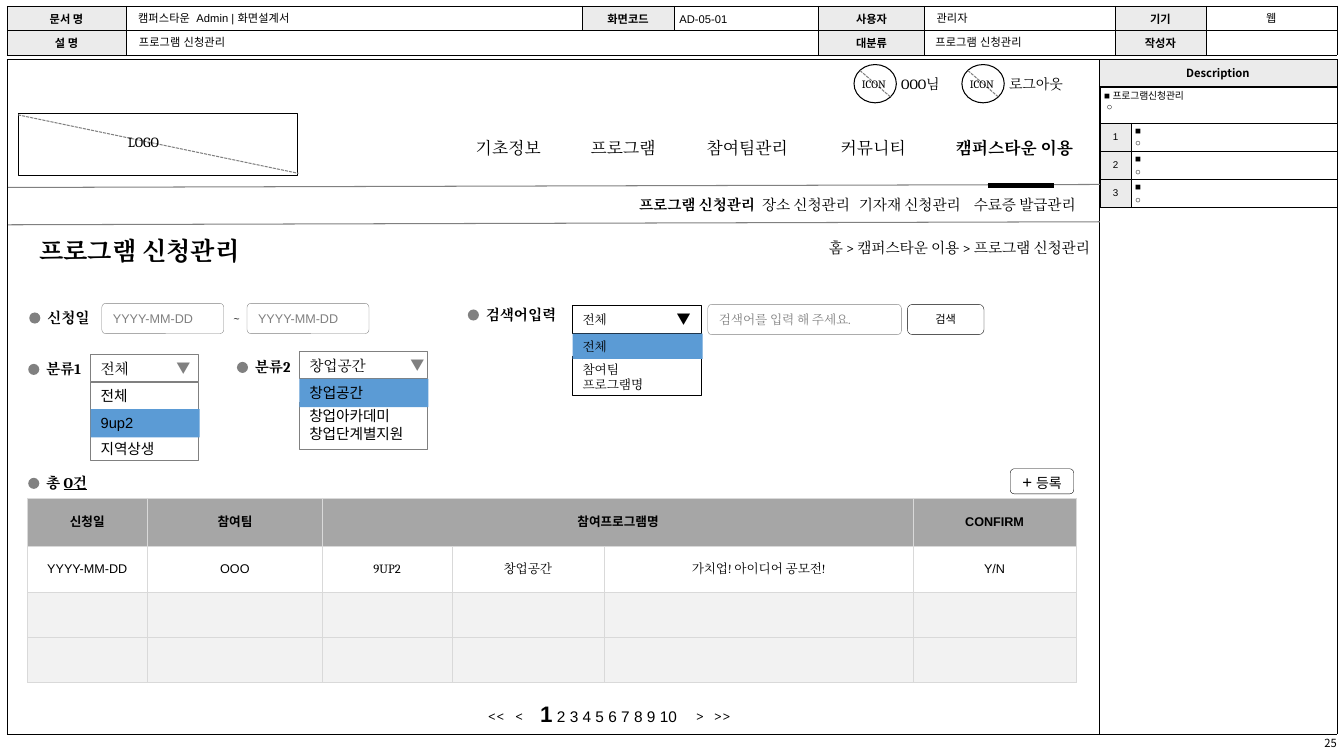
from dataclasses import dataclass, replace
from itertools import product

from lxml import etree
from pptx import Presentation
from pptx import util as u
from pptx.dml.color import RGBColor
from pptx.enum import dml, shapes, text
from pptx.oxml import ns

Inches, Pt = u.Inches, u.Pt
LEFT, CENTER, RIGHT = text.PP_ALIGN.LEFT, text.PP_ALIGN.CENTER, text.PP_ALIGN.RIGHT
TOP, MIDDLE = text.MSO_ANCHOR.TOP, text.MSO_ANCHOR.MIDDLE
RECT, ROUND, OVAL = (shapes.MSO_SHAPE.RECTANGLE, shapes.MSO_SHAPE.ROUNDED_RECTANGLE,
                     shapes.MSO_SHAPE.OVAL)
INSETS = (0.1, 0.05, 0.1, 0.05)
TIGHT = (0.04,) * 4
THIN = (0.01,) * 4


@dataclass(frozen=True)
class Style:
    font: str
    size: float
    color: str = "000000"
    bold: bool = False
    underline: bool = False


@dataclass(frozen=True)
class Theme:
    black: str = "000000"
    gray: str = "808080"
    white: str = "FFFFFF"
    label: str = "EBEBEB"
    selected: str = "5B9BD5"
    head: str = "A6A6A6"
    empty: str = "F2F2F2"
    grid: str = "D9D9D9"
    meta: Style = Style("Arial", 8)
    meta_label: Style = Style("Noto Sans CJK KR", 8, bold=True)
    page: Style = Style("Noto Sans CJK KR", 8)
    note: Style = Style("Arial", 7)
    title: Style = Style("Cambria", 18, bold=True)
    menu: Style = Style("Cambria", 12)
    body: Style = Style("Cambria", 10.5)
    strong: Style = Style("Cambria", 10.5, bold=True)
    option: Style = Style("Arial", 10.5)
    small: Style = Style("Cambria", 9)
    icon: Style = Style("Cambria", 8)
    user: Style = Style("Cambria", 10)
    hint: Style = Style("Arial", 9, "808080")
    search_hint: Style = Style("Cambria", 9, "808080")
    arrow: Style = Style("Noto Sans CJK KR", 10)
    cell: Style = Style("Arial", 9)
    pager: Style = Style("Cambria", 11)


THEME = Theme()


def set_font(font, style):
    font.name, font.size, font.bold = style.font, Pt(style.size), style.bold
    font.underline = style.underline
    font.color.rgb = RGBColor.from_string(style.color)
    east_asian = etree.SubElement(font._element, ns.qn("a:ea"))
    east_asian.set("typeface", style.font)


def write(frame, content, style, align=LEFT, before=0):
    """Content is a string (one paragraph a line) or a list of (text, style) runs."""
    lines = content.split("\n") if isinstance(content, str) else [content]
    for index, line in enumerate(lines):
        paragraph = frame.add_paragraph() if index else frame.paragraphs[0]
        paragraph.alignment = align
        paragraph.space_before = Pt(before)
        if isinstance(line, str):
            paragraph.text = line
            set_font(paragraph.font, style)
            continue
        for words, run_style in line:
            run = paragraph.add_run()
            run.text = words
            set_font(run.font, run_style)


def set_margins(target, insets):
    (target.margin_left, target.margin_top,
     target.margin_right, target.margin_bottom) = map(Inches, insets)


def add_text(slide, box, content, style=None, align=LEFT, insets=INSETS, anchor=TOP, before=0):
    frame = slide.shapes.add_textbox(*map(Inches, box)).text_frame
    frame.word_wrap = True
    frame.vertical_anchor = anchor
    set_margins(frame, insets)
    write(frame, content, style, align, before)


def add_box(slide, kind, box, content="", style=None, fill=None, line=None, width=0.75,
            align=LEFT, anchor=MIDDLE, insets=INSETS):
    shape = slide.shapes.add_shape(kind, *map(Inches, box))
    shape.shadow.inherit = False
    if fill:
        shape.fill.solid()
        shape.fill.fore_color.rgb = RGBColor.from_string(fill)
    else:
        shape.fill.background()
    if line:
        shape.line.color.rgb = RGBColor.from_string(line)
        shape.line.width = Pt(width)
    else:
        shape.line.fill.background()
    if content:
        shape.text_frame.vertical_anchor = anchor
        set_margins(shape.text_frame, insets)
        write(shape.text_frame, content, style, align)
    return shape


def add_line(slide, start, end, color=THEME.gray, width=0.75, dashed=False):
    line = slide.shapes.add_connector(shapes.MSO_CONNECTOR.STRAIGHT, *map(Inches, start + end))
    line.line.color.rgb = RGBColor.from_string(color)
    line.line.width = Pt(width)
    if dashed:
        line.line.dash_style = dml.MSO_LINE.SQUARE_DOT
    etree.SubElement(line._element.spPr, ns.qn("a:effectLst"))


def add_grid(slide, left, top, columns, rows, border):
    table = slide.shapes.add_table(len(rows), len(columns), Inches(left), Inches(top),
                                   Inches(sum(columns)), Inches(sum(rows))).table
    table.first_row = table.horz_banding = False
    for column, width in zip(table.columns, columns):
        column.width = Inches(width)
    for row, height in zip(table.rows, rows):
        row.height = Inches(height)
    for cell in table.iter_cells():
        properties = cell._tc.get_or_add_tcPr()
        for side in ("a:lnL", "a:lnR", "a:lnT", "a:lnB"):
            edge = etree.SubElement(properties, ns.qn(side), w=str(Pt(0.25)))
            paint = etree.SubElement(edge, ns.qn("a:solidFill"))
            etree.SubElement(paint, ns.qn("a:srgbClr"), val=border)
        fill_cell(cell)
    return table


def fill_cell(cell, content="", style=None, fill=THEME.white, align=CENTER, insets=THIN,
              anchor=MIDDLE, before=0):
    cell.fill.solid()
    cell.fill.fore_color.rgb = RGBColor.from_string(fill)
    cell.vertical_anchor = anchor
    set_margins(cell, insets)
    paragraph = cell.text_frame.paragraphs[0]
    for end in paragraph._p.findall(ns.qn("a:endParaRPr")):
        paragraph._p.remove(end)
    if content:
        write(cell.text_frame, content, style, align, before)
    else:
        etree.SubElement(paragraph._p, ns.qn("a:endParaRPr"), sz="800")


def add_label(slide, left, top, content, width=1.07):
    add_box(slide, shapes.MSO_SHAPE.FLOWCHART_CONNECTOR, (left, top, 0.11, 0.11), fill=THEME.gray)
    add_text(slide, (left + 0.08, top - 0.09, width, 0.28), content, THEME.strong)


def add_dropdown(slide, left, width, head, menu, pick, arrow_left, texts, styles, color):
    """Head, menu and pick are (top, height); texts are current, options, picked."""
    current, options, picked = texts
    add_box(slide, RECT, (left, head[0], width, head[1]), current, styles[0], line=color)
    add_text(slide, (arrow_left, head[0] + 0.05, 0.28, 0.17), "▼",
             replace(THEME.arrow, color=color), insets=(0.08, 0, 0.08, 0), anchor=MIDDLE)
    listing = add_box(slide, RECT, (left, menu[0], width, menu[1]), options, styles[1],
                      line=color, anchor=TOP)
    add_box(slide, RECT, (left, pick[0], width + 0.01, pick[1]), picked, styles[1],
            fill=THEME.selected, anchor=TOP)
    return listing


def add_document_tables(slide):
    meta = add_grid(slide, 0.07, 0.06, [1.18, 4.52, 0.92, 1.43, 1.05, 1.89, 0.9, 1.3],
                    [0.24, 0.24], THEME.black)
    meta.cell(1, 1).merge(meta.cell(1, 3))
    labels = {(0, 0): "문서 명", (0, 2): "화면코드", (0, 4): "사용자", (0, 6): "기기",
              (1, 0): "설 명", (1, 4): "대분류", (1, 6): "작성자"}
    for position, label in labels.items():
        fill_cell(meta.cell(*position), label, THEME.meta_label, THEME.label, insets=TIGHT)
    for column, value, align in ((1, "캠퍼스타운  Admin | 화면설계서", LEFT),
                                 (5, "관리자", LEFT), (7, "웹", CENTER)):
        insets = (0.12 if align == LEFT else 0.01, 0.01, 0.01, 0.01)
        fill_cell(meta.cell(0, column), value, THEME.meta, align=align, insets=insets)

    frame = add_grid(slide, 0.07, 0.59, [10.83, 2.36], [0.26, 6.43], THEME.black)
    frame.cell(0, 0).merge(frame.cell(1, 0))
    fill_cell(frame.cell(0, 1), "Description", THEME.meta_label, THEME.label, insets=TIGHT)

    notes = add_grid(slide, 10.91, 0.86, [0.31, 2.04], [0.36] + [0.28] * 3, THEME.black)
    notes.cell(0, 0).merge(notes.cell(0, 1))
    fill_cell(notes.cell(0, 0), "■ 프로그램신청관리\n ○", THEME.note, align=LEFT,
              insets=(0.04, 0.04, 0.01, 0.01), anchor=TOP)
    for row in range(1, 4):
        fill_cell(notes.cell(row, 0), str(row), THEME.note, THEME.label)
        fill_cell(notes.cell(row, 1), "■\n○", THEME.note, align=LEFT,
                  insets=(0.04, 0.01, 0.04, 0.01), before=1.4)

    for left in (1.28, 9.18):
        add_text(slide, (left, 0.3, 1.14, 0.24), "프로그램 신청관리", THEME.meta)
    add_text(slide, (6.64, 0.07, 1.43, 0.23), "AD-05-01", THEME.meta, before=1.6)
    add_text(slide, (10.9, 7.26, 2.36, 0.24), "25", THEME.page, RIGHT, (0.1, 0.05, 0, 0.05))


def add_navigation(slide):
    # Logo frame and user icons
    add_box(slide, RECT, (0.18, 1.13, 2.77, 0.61), line=THEME.black)
    add_line(slide, (0.18, 1.14), (2.96, 1.72), dashed=True)
    add_text(slide, (1.17, 1.28, 0.63, 0.27), "LOGO", THEME.user)
    for left, caption in ((8.47, "OOO님"), (9.54, "로그아웃")):
        add_box(slide, OVAL, (left, 0.64, 0.42, 0.38), line=THEME.black)
        add_line(slide, (left + 0.06, 0.7), (left + 0.36, 0.96), dashed=True)
        add_text(slide, (left - 0.02, 0.72, 0.47, 0.24), "ICON", THEME.icon)
        add_text(slide, (left + 0.37, 0.7, 0.76, 0.27), caption, THEME.user)

    # Main menu, submenu and breadcrumb
    for left, item in ((4.62, "기초정보"), (5.76, "프로그램"), (6.91, "참여팀관리"),
                       (8.24, "커뮤니티"), (9.38, "캠퍼스타운 이용")):
        add_text(slide, (left, 1.32, 1.42, 0.3), item, replace(THEME.menu, bold=left == 9.38))
    for top in (1.83, 2.2):
        add_line(slide, (0.08, top + 0.03), (10.91, top))
    add_line(slide, (9.8, 1.84), (10.45, 1.84), THEME.black, 3)
    for left, item in ((6.24, "프로그램 신청관리"), (7.46, "장소 신청관리"),
                       (8.42, "기자재 신청관리"), (9.56, "수료증 발급관리")):
        add_text(slide, (left, 1.89, 1.35, 0.28), item, replace(THEME.body, bold=left == 6.24))
    add_text(slide, (7.96, 2.32, 2.95, 0.28), "홈 > 캠퍼스타운 이용 > 프로그램 신청관리",
             THEME.body, RIGHT)
    add_text(slide, (0.29, 2.29, 2.8, 0.4), "프로그램 신청관리", THEME.title)


def add_filters(slide):
    for left, top, label in ((0.29, 3.1, "신청일"), (4.64, 3.07, "검색어입력"),
                             (0.28, 3.61, "분류1"), (2.35, 3.59, "분류2")):
        add_label(slide, left, top, label)
    fields = (((1.01, 3.01, 1.21, 0.3), "YYYY-MM-DD", THEME.hint),
              ((2.45, 3.01, 1.21, 0.3), "YYYY-MM-DD", THEME.hint),
              ((7.02, 3.02, 1.92, 0.3), "검색어를 입력 해 주세요.", THEME.search_hint))
    for box, hint, style in fields:
        field = add_box(slide, ROUND, box, hint, style, THEME.white, THEME.gray, 0.25)
        field.adjustments[0] = 0.13
    add_text(slide, (2.21, 3.04, 0.29, 0.24), "~", THEME.icon)
    add_box(slide, ROUND, (9, 3.02, 0.76, 0.3), "검색", THEME.meta, line=THEME.black,
            width=0.25, align=CENTER, insets=TIGHT)
    add_dropdown(slide, 5.68, 1.28, (3.03, 0.28), (3.54, 0.38), (3.31, 0.25), 6.63,
                 ("전체", "참여팀\n프로그램명", "전체"), (THEME.small, THEME.small), THEME.black)
    category = add_dropdown(slide, 0.9, 1.07, (3.52, 0.27), (3.79, 0.78), (4.06, 0.28), 1.67,
                            ("전체", "전체\n지역상생", "9up2"), (THEME.body, THEME.option),
                            THEME.gray)
    category.text_frame.paragraphs[1].space_before = Pt(25)
    add_dropdown(slide, 2.97, 1.27, (3.49, 0.27), (3.99, 0.47), (3.76, 0.28), 3.99,
                 ("창업공간", "창업아카데미\n창업단계별지원", "창업공간"),
                 (THEME.body, THEME.option), THEME.gray)


def add_results(slide):
    # Count and register button
    add_label(slide, 0.28, 4.74, [("총 ", THEME.strong),
                                  ("O건", replace(THEME.strong, underline=True))])
    add_box(slide, ROUND, (10.02, 4.65, 0.63, 0.25),
            [("+", replace(THEME.option, size=12)), (" 등록", replace(THEME.option, size=10))],
            line=THEME.black, width=0.25, align=CENTER, insets=TIGHT)

    # Result table
    table = add_grid(slide, 0.27, 4.94, [1.19, 1.74, 1.28, 1.51, 3.07, 1.61],
                     [0.48] + [0.45] * 3, THEME.grid)
    table.cell(0, 2).merge(table.cell(0, 4))
    heads = {0: "신청일", 1: "참여팀", 2: "참여프로그램명", 5: "CONFIRM"}
    for column, head in heads.items():
        fill_cell(table.cell(0, column), head, replace(THEME.cell, bold=True), THEME.head)
    values = ("YYYY-MM-DD", "OOO", "9UP2", "창업공간", "가치업! 아이디어 공모전!", "Y/N")
    for column, value in enumerate(values):
        style = THEME.small if column in (2, 3, 4) else THEME.cell
        fill_cell(table.cell(1, column), value, style)
    for row, column in product((2, 3), range(6)):
        fill_cell(table.cell(row, column), fill=THEME.empty)

    # Pager
    for left, mark in ((4.74, "<<"), (5.01, "<"), (6.8, ">"), (6.98, ">>")):
        add_text(slide, (left, 6.96, 0.45, 0.28), mark, THEME.pager)
    add_text(slide, (5.26, 6.9, 1.6, 0.37), [("1", Style("Arial", 16, bold=True)),
                                             (" 2 3 4 5 6 7 8 9 10", Style("Arial", 11))])


def main():
    presentation = Presentation()
    presentation.slide_width, presentation.slide_height = Inches(13.33), Inches(7.5)
    slide = presentation.slides.add_slide(presentation.slide_layouts[6])
    add_document_tables(slide)
    add_navigation(slide)
    add_filters(slide)
    add_results(slide)
    presentation.save("out.pptx")


if __name__ == "__main__":
    main()
